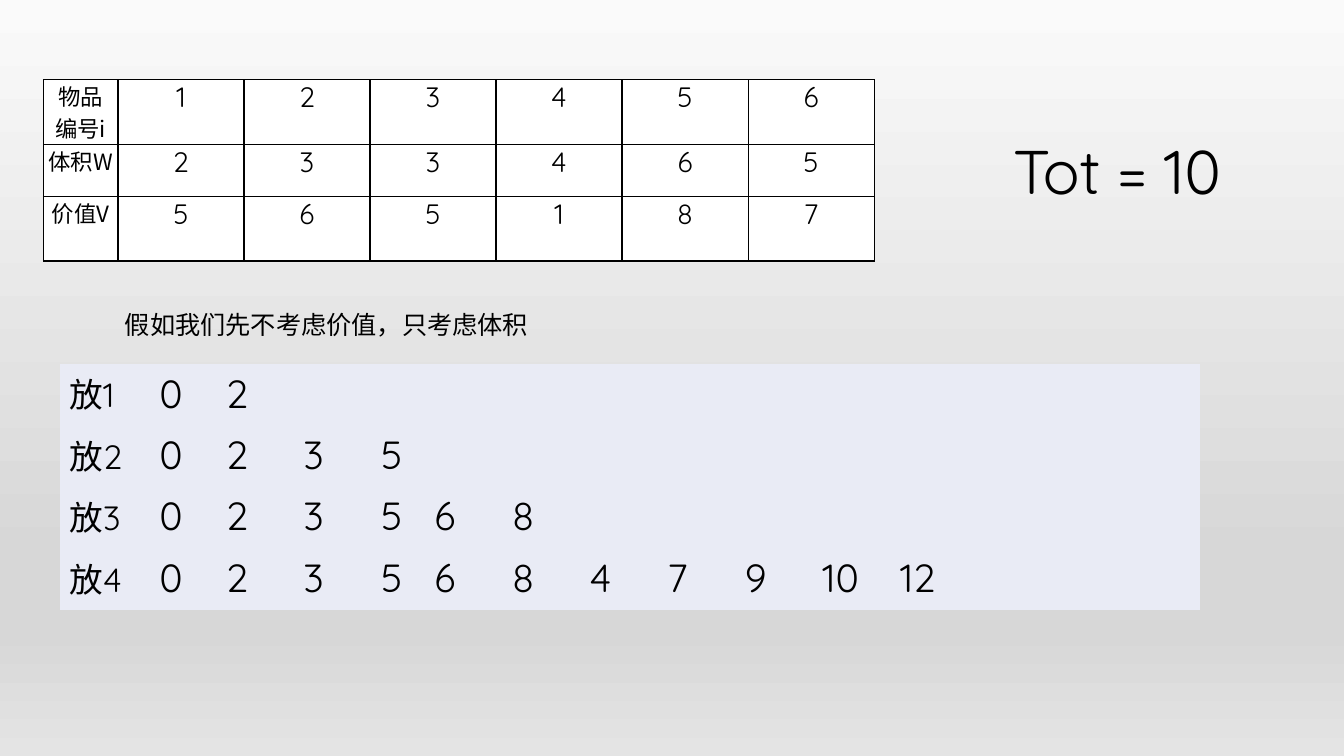
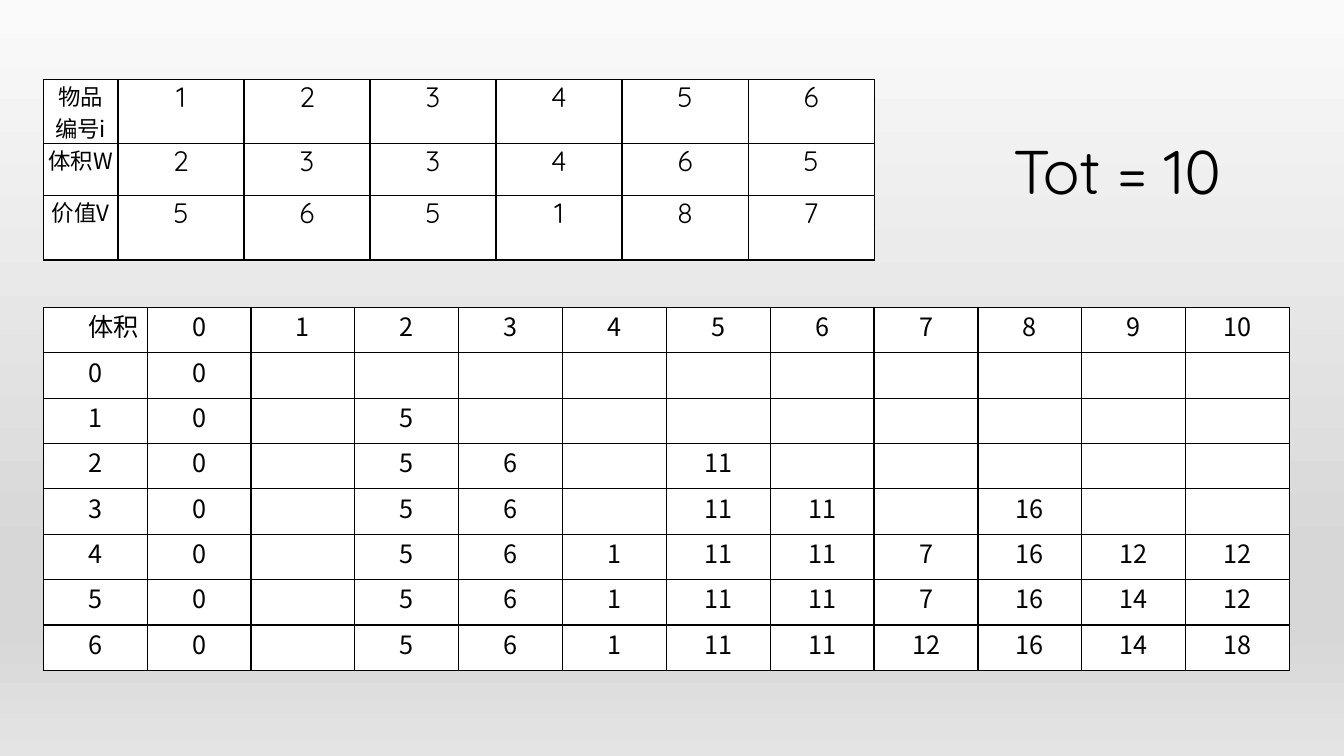
import pptx
import pptx.dml.color
import pptx.enum.text
import pptx.oxml
import pptx.oxml.ns
import pptx.util
from lxml import etree

Inches = pptx.util.Inches
Pt = pptx.util.Pt
RGBColor = pptx.dml.color.RGBColor
ALIGN = pptx.enum.text.PP_ALIGN
qn = pptx.oxml.ns.qn

BLACK = RGBColor(0x00, 0x00, 0x00)
WHITE = RGBColor(0xFF, 0xFF, 0xFF)
PALE_BLUE = RGBColor(0xE9, 0xEB, 0xF5)
BACKDROP_STOPS = [
    (0, RGBColor(0xFA, 0xFA, 0xFA)),
    (74, RGBColor(0xD7, 0xD7, 0xD7)),
    (83, RGBColor(0xD7, 0xD7, 0xD7)),
    (100, RGBColor(0xE4, 0xE4, 0xE4)),
]

CHINESE = "Noto Sans CJK SC"
ROUNDED = "Quicksand"
PLAIN_TABLE_STYLE = "{2D5ABB26-0587-4C30-8999-92F81FD0307C}"

ITEMS = [
    ["物品\n编号i", 1, 2, 3, 4, 5, 6],
    ["体积W", 2, 3, 3, 4, 6, 5],
    ["价值V", 5, 6, 5, 1, 8, 7],
]
REACHABLE = [
    ["放1", 0, 2],
    ["放2", 0, 2, 3, 5],
    ["放3", 0, 2, 3, 5, 6, 8],
    ["放4", 0, 2, 3, 5, 6, 8, 4, 7, 9, 10, 12],
]
BEST_VALUES = [
    ["体积", *range(11)],
    [0, 0],
    [1, 0, "", 5],
    [2, 0, "", 5, 6, "", 11],
    [3, 0, "", 5, 6, "", 11, 11, "", 16],
    [4, 0, "", 5, 6, 1, 11, 11, 7, 16, 12, 12],
    [5, 0, "", 5, 6, 1, 11, 11, 7, 16, 14, 12],
    [6, 0, "", 5, 6, 1, 11, 11, 12, 16, 14, 18],
]


def set_backdrop(master):
    fill = master.background.fill
    fill.gradient()
    fill.gradient_angle = 270
    stops = next(master.element.iter(qn("a:gsLst")))
    for stop in list(stops):
        stops.remove(stop)
    for percent, color in BACKDROP_STOPS:
        stop = etree.SubElement(stops, qn("a:gs"), pos=str(percent * 1000))
        etree.SubElement(stop, qn("a:srgbClr"), val=str(color))


def set_text(frame, text, font, size, align=ALIGN.LEFT):
    frame.text = str(text)
    for para in frame.paragraphs:
        para.alignment = align
        for span in para.runs:
            span.font.size = Pt(size)
            span.font.color.rgb = BLACK
            span.font.name = font
            etree.SubElement(span.font._element, qn("a:ea"), typeface=CHINESE)


def add_label(page, left, top, width, height, text, font, size):
    box = page.shapes.add_textbox(
        Inches(left), Inches(top), Inches(width), Inches(height))
    frame = box.text_frame
    frame.word_wrap = True
    frame.auto_size = pptx.enum.text.MSO_AUTO_SIZE.SHAPE_TO_FIT_TEXT
    set_text(frame, text, font, size)


def add_borders(cell):
    properties = cell._tc.get_or_add_tcPr()
    for index, side in enumerate(("a:lnL", "a:lnR", "a:lnT", "a:lnB")):
        line = etree.Element(qn(side), w=str(Pt(1)))
        fill = etree.SubElement(line, qn("a:solidFill"))
        etree.SubElement(fill, qn("a:srgbClr"), val=str(BLACK))
        properties.insert(index, line)


def add_grid(page, left, top, widths, heights, rows, label_style, value_style,
             fill, bordered):
    frame = page.shapes.add_table(
        len(heights), len(widths), Inches(left), Inches(top),
        Inches(sum(widths)), Inches(sum(heights)))
    table = frame.table
    table.first_row = False
    table.horz_banding = False
    table._tbl.tblPr.find(qn("a:tableStyleId")).text = PLAIN_TABLE_STYLE
    for column, width in zip(table.columns, widths):
        column.width = Inches(width)
    for row, height in zip(table.rows, heights):
        row.height = Inches(height)
    for cell in table.iter_cells():
        cell.fill.solid()
        cell.fill.fore_color.rgb = fill
        if bordered:
            cell.margin_left = cell.margin_right = 0
            cell.margin_top = cell.margin_bottom = 0
            add_borders(cell)
    align = ALIGN.CENTER if bordered else ALIGN.LEFT
    for row, values in enumerate(rows):
        for column, value in enumerate(values):
            if value != "":
                style = value_style if column else label_style
                set_text(table.cell(row, column).text_frame, value, *style, align)
    return table


def add_problem_page(deck):
    page = deck.slides.add_slide(deck.slide_layouts[6])
    add_grid(page, 0.43, 0.79, [0.74] + [1.25] * 6, [0.63, 0.52, 0.64], ITEMS,
             (CHINESE, 16), (ROUNDED, 20), WHITE, True)
    add_label(page, 9.95, 1.27, 3.06, 0.84, "Tot = 10", ROUNDED, 44)
    return page


def add_reachable_volumes(page):
    add_label(page, 1.14, 3.02, 6.36, 0.4,
              "假如我们先不考虑价值，只考虑体积", CHINESE, 18)
    widths = [0.89, 0.66, 0.77, 0.77, 0.53] + [0.77] * 10
    add_grid(page, 0.59, 3.61, widths, [0.61] * 4, REACHABLE,
             (ROUNDED, 24), (ROUNDED, 28), PALE_BLUE, False)


def add_best_values(page):
    style = (CHINESE, 18)
    table = add_grid(page, 0.43, 3.05, [1.03] * 12, [0.45] * 8, BEST_VALUES,
                     style, style, WHITE, True)
    corner = table.cell(0, 0)
    corner.margin_right = Inches(0.08)
    corner.text_frame.paragraphs[0].alignment = ALIGN.RIGHT


def main():
    deck = pptx.Presentation()
    deck.slide_width = Inches(13.33)
    deck.slide_height = Inches(7.5)
    set_backdrop(deck.slide_master)
    add_reachable_volumes(add_problem_page(deck))
    add_best_values(add_problem_page(deck))
    deck.save("out.pptx")


if __name__ == "__main__":
    main()
